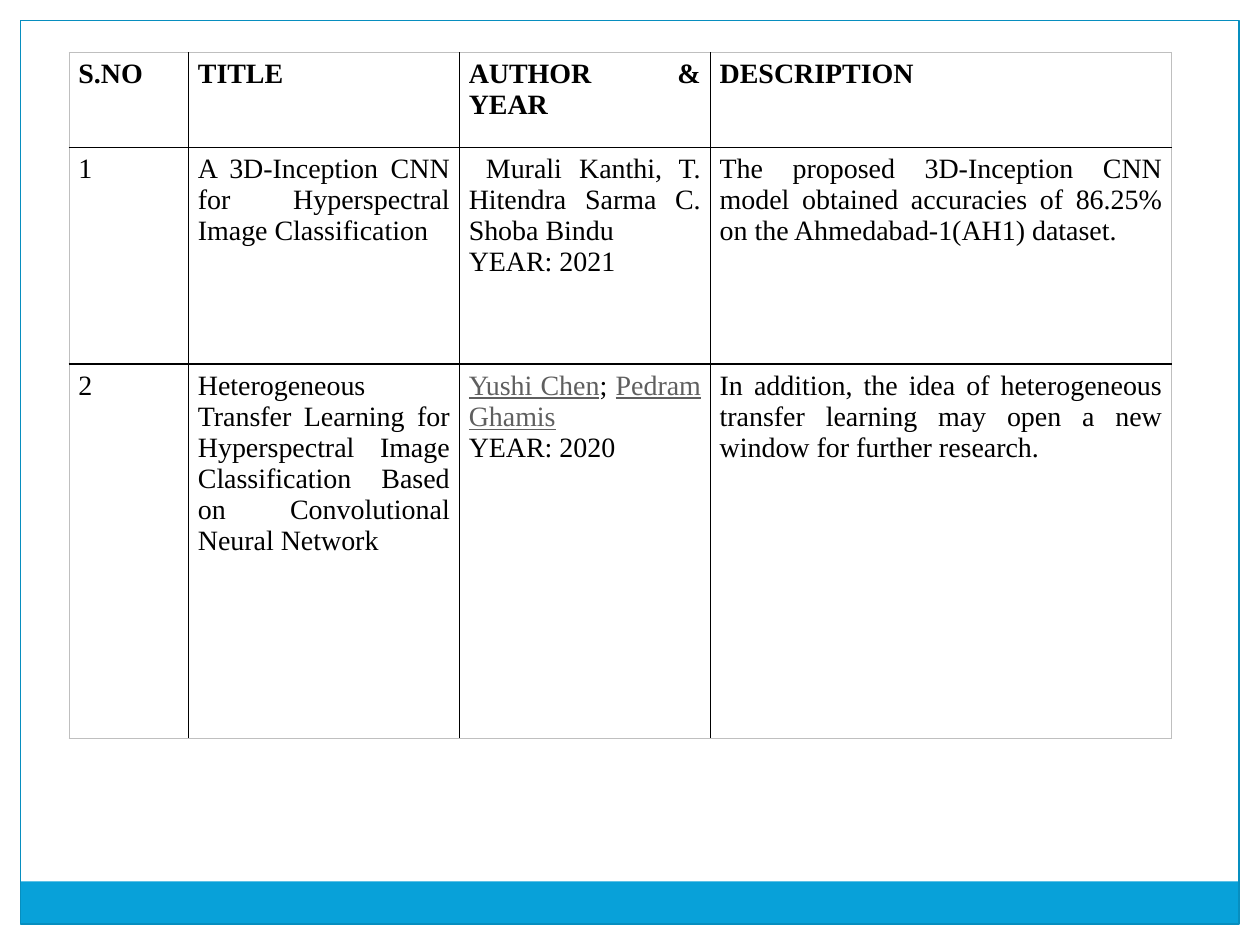
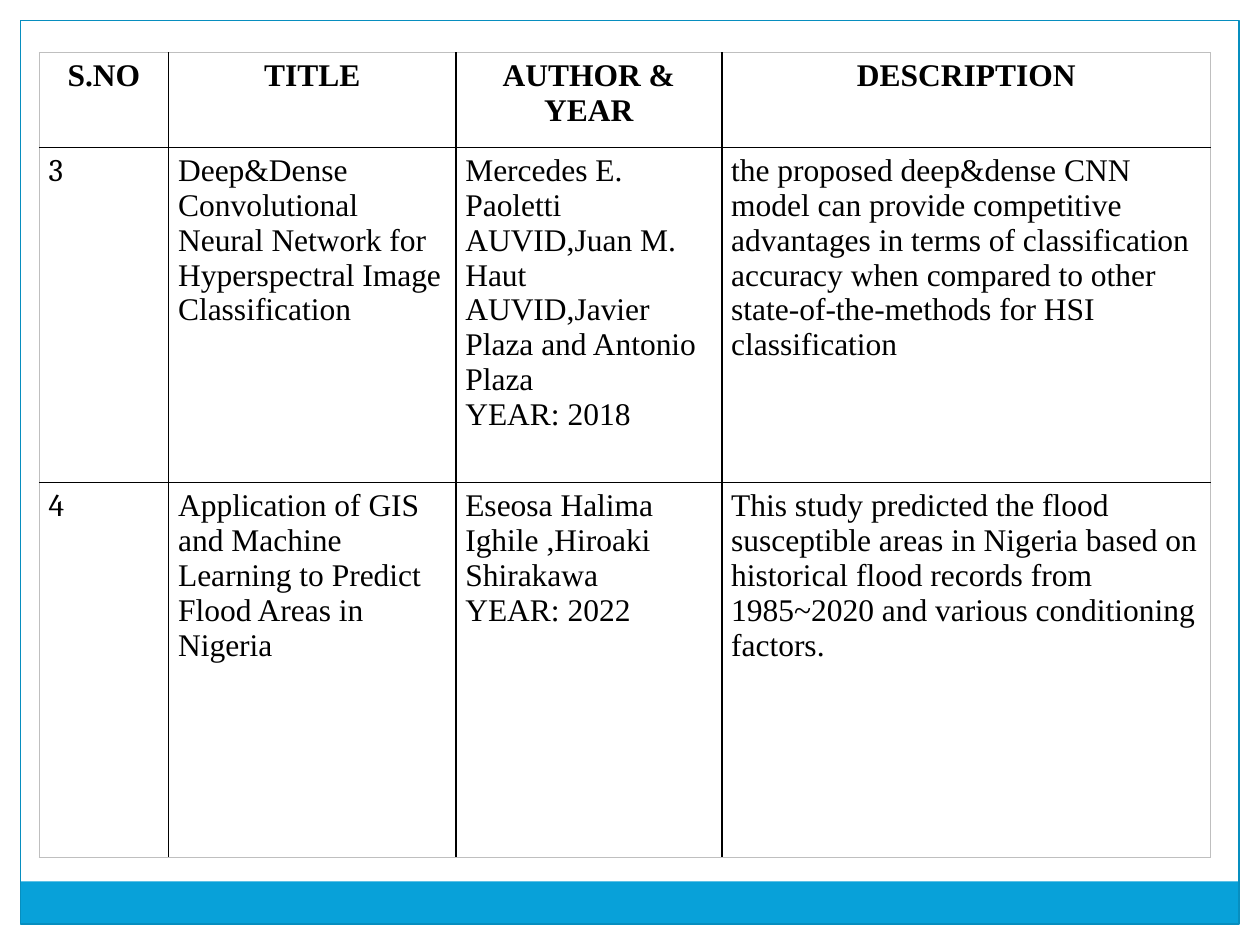
from dataclasses import dataclass

from lxml import etree
from pptx import Presentation
from pptx.dml.color import RGBColor
from pptx.enum import shapes, text
from pptx.oxml import ns
from pptx.util import Cm, Pt


@dataclass(frozen=True)
class Theme:
    paper: str = "FFFFFF"
    ink: str = "000000"
    band: str = "08A1D9"
    frame: str = "078EBF"
    edge: str = "BFBFBF"
    name: str = "5F5F5F"
    font: str = "Times New Roman"
    number_font: str = "Cambria"
    small: int = 16
    large: int = 18


THEME = Theme()
WIDTH, HEIGHT, MARGIN = 25.4, 19.05, 0.42
BAND_HEIGHT = 0.86
HEADINGS = ["S.NO", "TITLE", "AUTHOR & YEAR", "DESCRIPTION"]
JUSTIFY, CENTER, LEFT = (text.PP_ALIGN.JUSTIFY, text.PP_ALIGN.CENTER,
                         text.PP_ALIGN.LEFT)

# A cell is a list of paragraphs; a paragraph is a list of (text, is_name) runs
FIRST_PAPERS = [
    ["1",
     "A 3D-Inception CNN for Hyperspectral Image Classification",
     [" Murali Kanthi, T. Hitendra Sarma C. Shoba Bindu", "YEAR: 2021"],
     "The proposed 3D-Inception CNN model obtained accuracies of 86.25% "
     "on the Ahmedabad-1(AH1) dataset."],
    ["2",
     "Heterogeneous Transfer Learning for Hyperspectral Image Classification "
     "Based on Convolutional Neural Network",
     [[("Yushi Chen", True), ("; ", False), ("Pedram Ghamis", True)],
      "YEAR: 2020"],
     "In addition, the idea of heterogeneous transfer learning may open a new "
     "window for further research."],
]
SECOND_PAPERS = [
    ["3",
     "Deep&Dense Convolutional Neural Network for Hyperspectral Image "
     "Classification",
     ["Mercedes E. Paoletti AUVID,Juan M. Haut AUVID,Javier Plaza and Antonio "
      "Plaza", "YEAR: 2018"],
     "the proposed deep&dense CNN model can provide competitive advantages in "
     "terms of classification accuracy when compared to other "
     "state-of-the-methods for HSI classification"],
    ["4",
     "Application of GIS and Machine Learning to Predict Flood Areas in Nigeria",
     ["Eseosa Halima Ighile ,Hiroaki Shirakawa", "YEAR: 2022"],
     "This study predicted the flood susceptible areas in Nigeria based on "
     "historical flood records from 1985~2020 and various conditioning "
     "factors."],
]


def rgb(color):
    return RGBColor.from_string(color)


def add_rect(slide, box, fill=None, line=None):
    sp = slide.shapes.add_shape(shapes.MSO_SHAPE.RECTANGLE, *map(Cm, box))
    sp.shadow.inherit = False
    if fill:
        sp.fill.solid()
        sp.fill.fore_color.rgb = rgb(fill)
    else:
        sp.fill.background()
    if line:
        sp.line.color.rgb = rgb(line)
        sp.line.width = Pt(0.75)
    else:
        sp.line.fill.background()


def add_frame(slide, width, height):
    """White margins, bottom band and outline shared by all slides."""
    inner_width, inner_height = width - 2 * MARGIN, height - 2 * MARGIN
    for box in [(0, 0, width, MARGIN),
                (width - MARGIN, 0, MARGIN, height),
                (0, 0, MARGIN, height)]:
        add_rect(slide, box, fill=THEME.paper)
    add_rect(slide, (MARGIN, height - MARGIN - BAND_HEIGHT, inner_width,
                     BAND_HEIGHT), fill=THEME.band)
    add_rect(slide, (MARGIN, MARGIN, inner_width, inner_height),
             line=THEME.frame)


def set_border(cell, side, color, width):
    tc_pr = cell._tc.get_or_add_tcPr()
    ln = etree.SubElement(tc_pr, ns.qn(f"a:{side}"), w=str(Pt(width)))
    fill = etree.SubElement(ln, ns.qn("a:solidFill"))
    etree.SubElement(fill, ns.qn("a:srgbClr"), val=color)


def style_cell(cell, outer_sides):
    cell.margin_left = cell.margin_right = Cm(0.19)
    cell.margin_top = cell.margin_bottom = Cm(0.12)
    for side, is_outer in outer_sides.items():
        if is_outer:
            set_border(cell, side, THEME.edge, 0.5)
        else:
            set_border(cell, side, THEME.ink, 1)
    cell.fill.solid()
    cell.fill.fore_color.rgb = rgb(THEME.paper)


def write_cell(cell, content, size, align, font, bold):
    tf = cell.text_frame
    paragraphs = content if isinstance(content, list) else [content]
    for i, runs in enumerate(paragraphs):
        p = tf.add_paragraph() if i else tf.paragraphs[0]
        p.alignment = align
        p.font.size, p.font.name, p.font.bold = Pt(size), font, bold
        p.font.color.rgb = rgb(THEME.ink)
        for words, is_name in runs if isinstance(runs, list) else [(runs, False)]:
            r = p.add_run()
            r.text = words
            if is_name:
                r.font.underline = True
                r.font.color.rgb = rgb(THEME.name)


def add_papers_table(slide, left, top, widths, heights, papers, size,
                     head_align, body_align, number_font):
    rows = [HEADINGS] + papers
    frame = slide.shapes.add_table(
        len(rows), len(HEADINGS), Cm(left), Cm(top),
        Cm(sum(widths)), Cm(sum(heights)))
    table = frame.table
    table.first_row = table.horz_banding = False
    for column, width in zip(table.columns, widths):
        column.width = Cm(width)
    for row, height in zip(table.rows, heights):
        row.height = Cm(height)

    for i, row in enumerate(rows):
        for j, content in enumerate(row):
            cell = table.cell(i, j)
            style_cell(cell, {"lnL": j == 0, "lnR": j == len(row) - 1,
                              "lnT": i == 0, "lnB": i == len(rows) - 1})
            is_head = i == 0
            font = number_font if j == 0 and not is_head else THEME.font
            write_cell(cell, content, size,
                       head_align if is_head else body_align, font, is_head)


def add_survey_slide(prs, **table):
    slide = prs.slides.add_slide(prs.slide_layouts[6])
    add_frame(slide, WIDTH, HEIGHT)
    add_papers_table(slide, top=1.06, **table)


def main():
    prs = Presentation()
    prs.slide_width, prs.slide_height = Cm(WIDTH), Cm(HEIGHT)

    # Papers 1 and 2
    add_survey_slide(
        prs, left=1.39, widths=[2.41, 5.46, 5.06, 9.3],
        heights=[1.91, 4.37, 7.55], papers=FIRST_PAPERS, size=THEME.small,
        head_align=JUSTIFY, body_align=JUSTIFY, number_font=THEME.font)

    # Papers 3 and 4
    add_survey_slide(
        prs, left=0.79, widths=[2.61, 5.79, 5.36, 9.86],
        heights=[1.91, 6.76, 7.55], papers=SECOND_PAPERS, size=THEME.large,
        head_align=CENTER, body_align=LEFT, number_font=THEME.number_font)

    prs.save("out.pptx")


if __name__ == "__main__":
    main()
